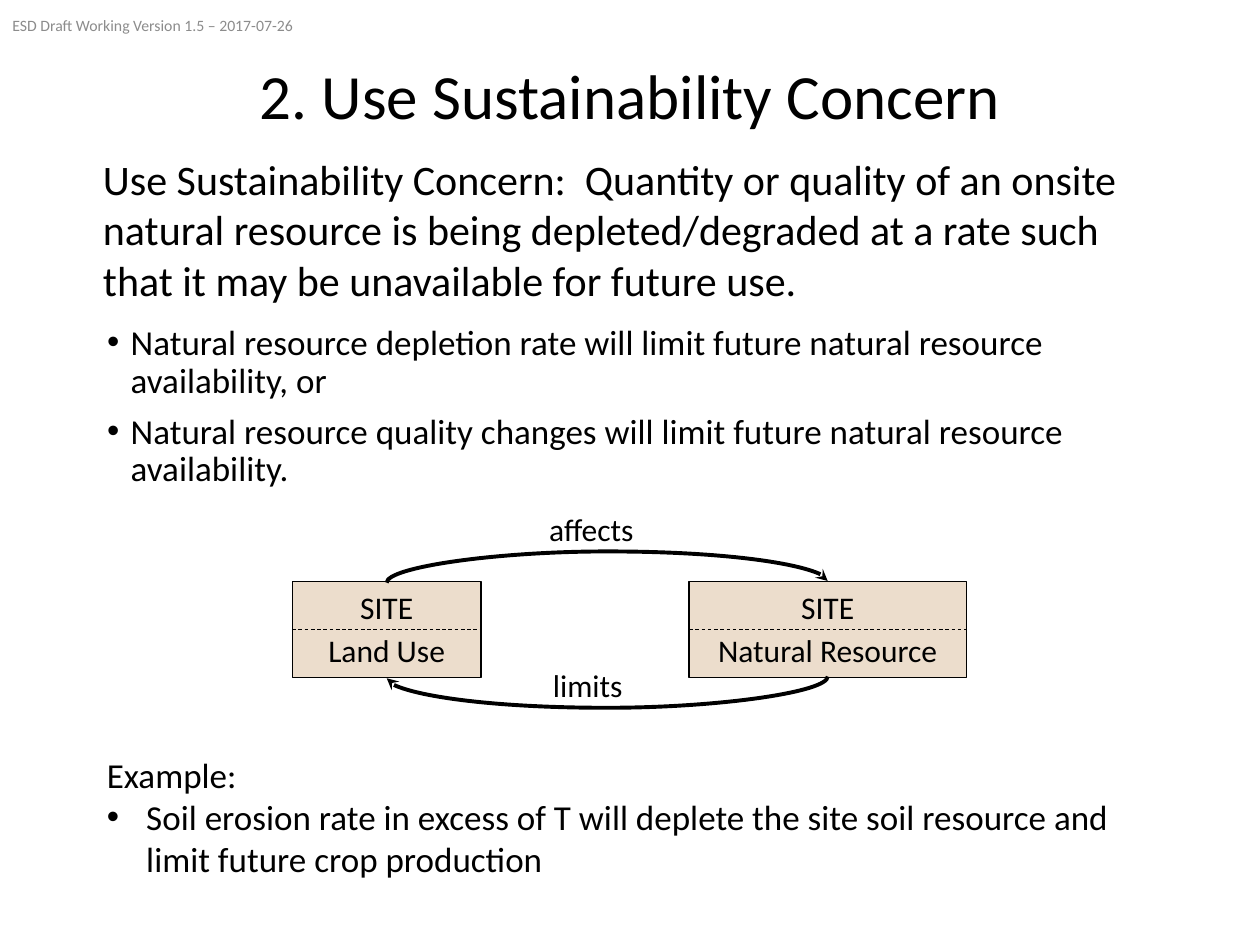
from lxml import etree
from pptx import Presentation
from pptx.dml.color import RGBColor
from pptx.enum import dml, shapes, text
from pptx.oxml import ns
from pptx.util import Pt

LEFT, MID = text.PP_ALIGN.LEFT, text.PP_ALIGN.CENTER
TOP, CORE = text.MSO_ANCHOR.TOP, text.MSO_ANCHOR.MIDDLE
FIT, FIXED = text.MSO_AUTO_SIZE.SHAPE_TO_FIT_TEXT, text.MSO_AUTO_SIZE.NONE


def paint(color, code):
    color.rgb = RGBColor.from_string(code)


def child(node, tag, **attrs):
    return etree.SubElement(node, ns.qn(tag), attrs)


class Deck:
    font, ink, sand, gray = "Calibri", "000000", "ECDDCC", "8C8C8C"

    def __init__(self, wide, high):
        self.file = Presentation()
        self.file.slide_width, self.file.slide_height = Pt(wide), Pt(high)
        self.slide = self.file.slides.add_slide(self.file.slide_layouts[1])
        self.items = self.slide.shapes

    def fill(self, shape, lines, size, align=LEFT, anchor=TOP, gap=0,
             lead=None, hang=0, first=0, wrap=True, fit=FIT, code=ink):
        frame = shape.text_frame
        frame.text = "\n".join(lines)
        frame.word_wrap, frame.auto_size = wrap, fit
        frame.vertical_anchor = anchor
        for i, para in enumerate(frame.paragraphs):
            para.alignment = align
            para.space_before = Pt(gap if i else 0)
            para.line_spacing = lead
            if hang and i >= first:
                self.bullet(para, hang)
            para.font.size, para.font.name = Pt(size), self.font
            paint(para.font.color, code)

    def bullet(self, para, hang):
        props = para._p.get_or_add_pPr()
        props.set("marL", str(Pt(hang)))
        props.set("indent", str(-Pt(hang)))
        child(props, "a:buFont", typeface="Arial")
        child(props, "a:buChar", char="•")

    def holder(self, index, spot, lines, size, **style):
        shape = self.slide.placeholders[index]
        shape.left, shape.top, shape.width, shape.height = map(Pt, spot)
        self.fill(shape, lines, size, fit=FIXED, lead=0.9, **style)

    def note(self, spot, lines, size, **style):
        self.fill(self.items.add_textbox(*map(Pt, spot)), lines, size, **style)

    def box(self, spot, lines):
        shape = self.items.add_shape(shapes.MSO_SHAPE.RECTANGLE, *map(Pt, spot))
        shape.shadow.inherit = False
        shape.fill.solid()
        paint(shape.fill.fore_color, self.sand)
        paint(shape.line.color, self.ink)
        shape.line.width = Pt(0.75)
        self.fill(shape, lines, 18, align=MID, gap=3)

    def link(self, kind, ends, width):
        line = self.items.add_connector(kind, *map(Pt, ends))
        paint(line.line.color, self.ink)
        line.line.width = Pt(width)
        child(line._element.spPr, "a:effectLst")
        return line

    def dash(self, x, y, wide):
        line = self.link(shapes.MSO_CONNECTOR.STRAIGHT, (x, y, x + wide, y), 0.5)
        line.line.dash_style = dml.MSO_LINE.DASH

    def arc(self, start, end, y, side):
        x, half = (start + end) / 2, abs(end - start) / 2
        ends = (x - side / 2, y - side * half, x + side / 2, y + side * half)
        line = self.link(shapes.MSO_CONNECTOR.CURVE, ends, 2.25)
        props = line._element.spPr
        props.find(ns.qn("a:xfrm")).set("rot", "5400000")
        guides = props.find(ns.qn("a:prstGeom")).get_or_add_avLst()
        child(guides, "a:gd", name="adj1", fmla="val 1800000")
        child(line.line._get_or_add_ln(), "a:tailEnd", type="stealth")


def main():
    deck = Deck(720, 540)
    deck.holder(0, (49.7, 28.8, 620.6, 56.2), ["2. Use Sustainability Concern"],
                36, align=MID, anchor=CORE)
    deck.holder(1, (54, 182.2, 612, 104.4), [
        "Natural resource depletion rate will limit future natural resource availability, or",
        "Natural resource quality changes will limit future natural resource availability.",
    ], 20, gap=7.5, hang=13.5)

    top, high = 332.5, 54.6
    sites = [("Land Use", 167, 108), ("Natural Resource", 393.8, 158.4)]
    for name, x, wide in sites:
        deck.box((x, top, wide, high), ["SITE", name])
        deck.dash(x, top + high / 2, wide)
    use, stock = [x + wide / 2 for name, x, wide in sites]
    deck.arc(use, stock, top, -1)
    deck.arc(stock, use, top + high, 1)
    deck.note((306.7, 288, 63.4, 29), ["affects"], 18, wrap=False)
    deck.note((308.9, 376.8, 54.7, 29), ["limits"], 18, wrap=False)

    deck.note((54, 427, 612, 80), [
        "Example:",
        "Soil erosion rate in excess of T will deplete the site soil resource and limit future crop production",
    ], 20, hang=22.5, first=1)
    deck.note((51.8, 84.2, 612, 94.3), [
        "Use Sustainability Concern:  Quantity or quality of an onsite natural resource is being depleted/degraded at a rate such that it may be unavailable for future use.",
    ], 24)
    deck.note((0, 0, 243.4, 28.8), ["ESD Draft Working Version 1.5 – 2017-07-26"],
              9, anchor=CORE, fit=FIXED, code=deck.gray)
    deck.file.save("out.pptx")


if __name__ == "__main__":
    main()
